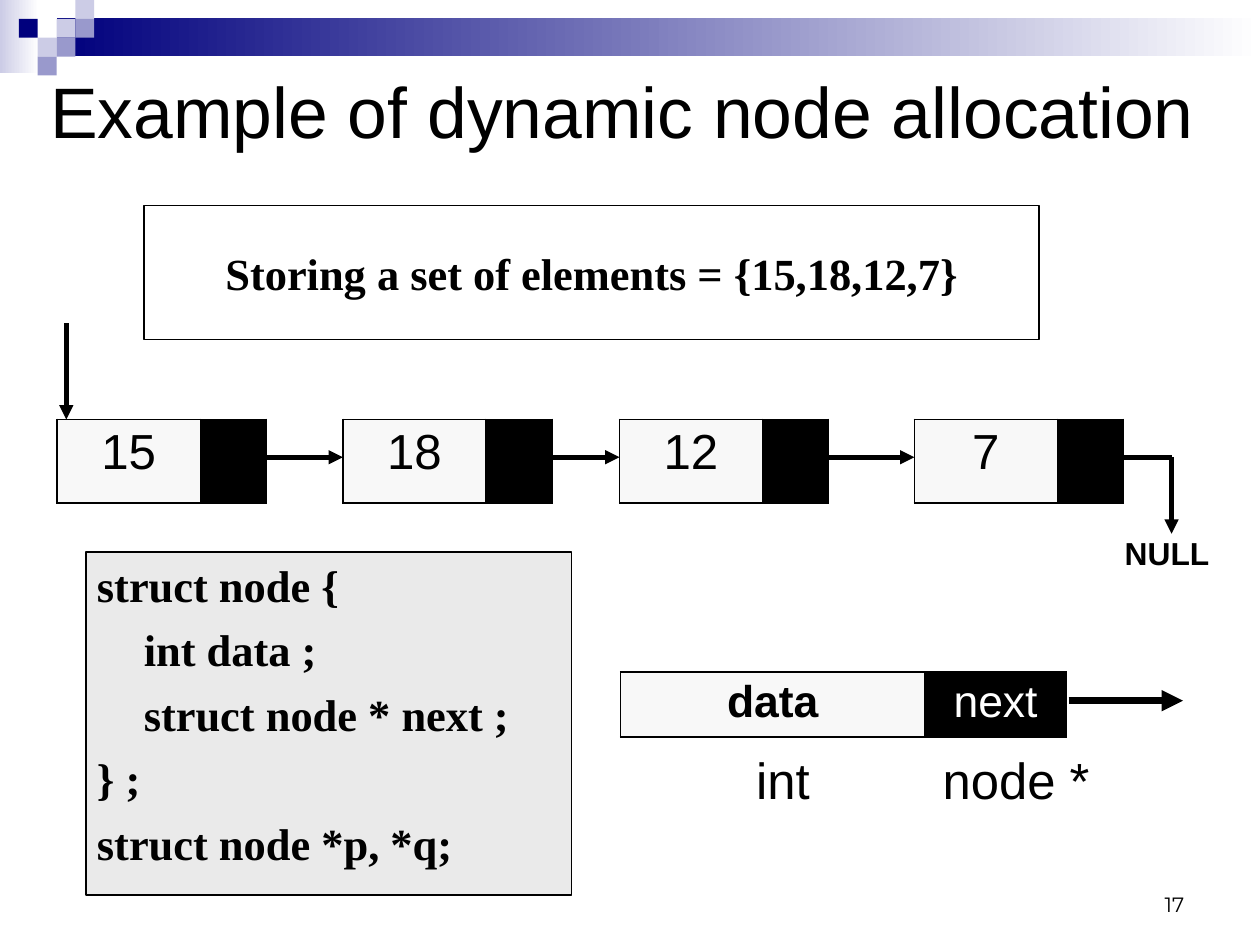
"""Build the slide on dynamic node allocation for a linked list."""
from lxml import etree
from pptx import Presentation, util as u
from pptx.dml.color import RGBColor
from pptx.enum import shapes, text
from pptx.oxml.ns import qn

COLORS = {"ink": "000000", "white": "FFFFFF", "navy": "00007D", "lilac": "CCCCE6",
          "violet": "9999CC", "cell": "F8F8F8", "code": "EAEAEA"}
CENTER, RIGHT, LEFT = text.PP_ALIGN.CENTER, text.PP_ALIGN.RIGHT, text.PP_ALIGN.LEFT
TOP, MIDDLE, BOTTOM = text.MSO_ANCHOR.TOP, text.MSO_ANCHOR.MIDDLE, text.MSO_ANCHOR.BOTTOM
PADDED, TIGHT, INSET = (0.11, 0.06), (0, 0), (0.1, 0.05)

TITLE = "Example of dynamic node allocation"
BANNER = "Storing a set of elements = {15,18,12,7}"
CODE = [(0, "struct node {"), (0.41, "int data ;"), (0.41, "struct node * next ;"),
        (0, "} ;"), (0, "struct node *p, *q;")]
NODES = [("15", 0.5), ("18", 3), ("12", 5.42), ("7", 8)]
LABELS = [("NULL", (9.75, 4.67, 0.92, 0.33), 20, True),
          ("int", (5.6, 6.55, 2.5, 0.53), 32, False),
          ("node *", (8.18, 6.55, 1.42, 0.53), 32, False)]
FADES = [((0, 0, 0.34, 0.64), "lilac"), ((0.5, 0.16, 10.53, 0.33), "navy")]
SQUARE = 0.33 / 2
SQUARES = [(3, 1, "lilac"), (4, 0, "lilac"), (4, 1, "violet"), (2, 2, "lilac"),
           (1, 1, "navy"), (3, 2, "violet"), (2, 3, "violet")]
NODE_TOP, NODE_HEIGHT, NODE_COLUMNS = 3.67, 0.73, (1.25, 0.58)
LINK_Y, LINK_START, NULL_X = 4, (1.5, 1.42, 1.58, 1.58), 10.25


def color(name):
    return RGBColor.from_string(COLORS[name])


def inches(values):
    return [u.Inches(value) for value in values]


def add_span(para, line, size, face, bold, ink):
    span = para.add_run()
    span.text = line
    for name, value in {"size": u.Pt(size), "name": face, "bold": bold}.items():
        setattr(span.font, name, value)
    span.font.color.rgb = color(ink)


def write(frame, lines, size, face="Arial", bold=False, align=CENTER,
          anchor=TOP, insets=TIGHT, wrap=True, gap=0):
    side, edge = inches(insets)
    settings = {"margin_left": side, "margin_right": side, "margin_top": edge,
                "margin_bottom": edge, "word_wrap": wrap, "vertical_anchor": anchor}
    for name, value in settings.items():
        setattr(frame, name, value)
    for index, (indent, line) in enumerate(lines):
        para = frame.add_paragraph() if index else frame.paragraphs[0]
        para.alignment = align
        para.space_before = u.Pt(gap if index else 0)
        if indent:
            para._p.get_or_add_pPr().set("marL", str(u.Inches(indent)))
        add_span(para, line, size, face, bold, "ink")


def add_label(page, at, line, size, **look):
    write(page.shapes.add_textbox(*inches(at)).text_frame, [(0, line)], size, **look)


def add_box(page, at, fill=None, outlined=False):
    box = page.shapes.add_shape(shapes.MSO_SHAPE.RECTANGLE, *inches(at))
    box.shadow.inherit = False
    if fill:
        box.fill.solid()
        box.fill.fore_color.rgb = color(fill)
    else:
        box.fill.background()
    if outlined:
        box.line.color.rgb = color("ink")
        box.line.width = u.Pt(1)
    else:
        box.line.fill.background()
    return box


def add_fade(page, at, start):
    box = add_box(page, at)
    box.fill.gradient()
    box.fill.gradient_angle = 0
    for stop, name in zip(box.fill.gradient_stops, (start, "white")):
        stop.color.rgb = color(name)


def add_line(page, start, end, width=3, arrow=True):
    line = page.shapes.add_connector(shapes.MSO_CONNECTOR.STRAIGHT, *inches(start + end))
    line.line.color.rgb = color("ink")
    line.line.width = u.Pt(width)
    if arrow:
        etree.SubElement(line.line._get_or_add_ln(), qn("a:tailEnd"), type="triangle")
    etree.SubElement(line._element.spPr, qn("a:effectLst"))


def add_border(cell, widths):
    for side, width in zip("LRTB", widths):
        edge = etree.SubElement(cell._tc.get_or_add_tcPr(), qn(f"a:ln{side}"),
                                w=str(u.Pt(width)))
        solid = etree.SubElement(edge, qn("a:solidFill"))
        etree.SubElement(solid, qn("a:srgbClr"), val=COLORS["ink"])


def add_node(page, left, top, columns, height, words, size, bold=False):
    at = inches((left, top, sum(columns), height))
    table = page.shapes.add_table(1, 2, *at).table
    table.first_row = table.horz_banding = False
    looks = [("cell", "ink", bold, (1.08, 0.45, 1.08, 1.08)),
             ("ink", "white", False, (0.45, 1.08, 1.08, 1.08))]
    for index, (fill, ink, heavy, widths) in enumerate(looks):
        table.columns[index].width = u.Inches(columns[index])
        cell = table.cell(0, index)
        add_border(cell, widths)
        cell.fill.solid()
        cell.fill.fore_color.rgb = color(fill)
        if words[index]:
            para = cell.text_frame.paragraphs[0]
            para.alignment = CENTER
            add_span(para, words[index], size, "Arial", heavy, ink)


def main():
    deck = Presentation()
    deck.slide_width = u.Cm(28)
    deck.slide_height = u.Cm(21)
    page = deck.slides.add_slide(deck.slide_layouts[5])

    for at, start in FADES:
        add_fade(page, at, start)
    for column, row, fill in SQUARES:
        add_box(page, (column * SQUARE, row * SQUARE, SQUARE, SQUARE), fill)

    title = page.shapes.title
    title.left, title.top, title.width, title.height = inches((0.33, 0.5, 10.41, 0.93))
    write(title.text_frame, [(0, TITLE)], 45, align=LEFT, anchor=MIDDLE, insets=PADDED)
    add_label(page, (7.9, 7.53, 2.57, 0.55), "17", 13, face="Montserrat", align=RIGHT,
              anchor=BOTTOM, insets=PADDED)

    banner = add_box(page, (1.26, 1.8, 7.83, 1.17), outlined=True)
    write(banner.text_frame, [(0, BANNER)], 28, face="Times New Roman", bold=True,
          anchor=MIDDLE, wrap=False)
    code = add_box(page, (0.75, 4.83, 4.25, 3), "code", outlined=True)
    write(code.text_frame, CODE, 28, face="Times New Roman", bold=True, align=LEFT,
          insets=INSET, gap=7)

    for value, left in NODES:
        add_node(page, left, NODE_TOP, NODE_COLUMNS, NODE_HEIGHT, (value, ""), 31)
    add_node(page, 5.43, 5.88, (2.66, 1.24), 0.55, ("data", "next"), 28, bold=True)

    ends = [left for _, left in NODES[1:]] + [NULL_X]
    for (_, left), offset, end in zip(NODES, LINK_START, ends):
        add_line(page, (left + offset, LINK_Y), (end, LINK_Y), arrow=end != NULL_X)
    add_line(page, (NULL_X, LINK_Y), (NULL_X, 4.67))
    add_line(page, (0.58, 2.83), (0.58, NODE_TOP))
    add_line(page, (9.35, 6.13), (10.35, 6.13), width=4.5)

    for line, at, size, bold in LABELS:
        add_label(page, at, line, size, bold=bold)
    deck.save("out.pptx")


if __name__ == "__main__":
    main()
